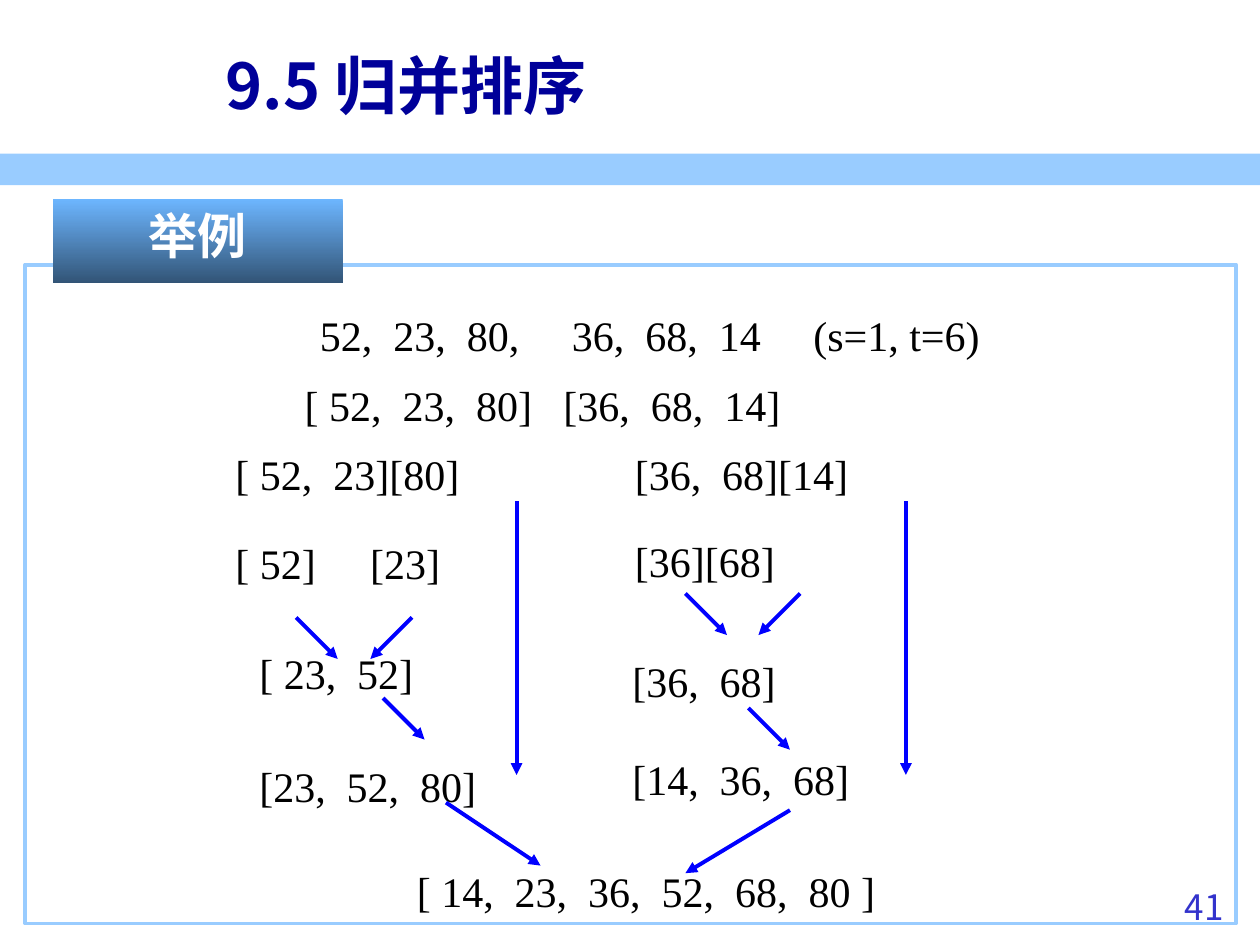
from lxml.etree import SubElement
from pptx import Presentation
from pptx.dml.color import RGBColor
from pptx.enum.shapes import MSO_CONNECTOR, MSO_SHAPE
from pptx.enum.text import MSO_ANCHOR, PP_ALIGN
from pptx.oxml.ns import qn
from pptx.util import Inches, Pt

# Content
TITLE = "9.5 归并排序"
LABEL = "举例"
PAGE_NUMBER = "41"

# Sorting steps: left, top, groups of numbers, spaces between groups, least width
STEPS = [
    (2.44, 2.41, ["52, 23, 80,", "36, 68, 14", "(s=1,t=6)"], 5, 0),
    (2.32, 2.96, ["[52, 23, 80]", "[36, 68, 14]"], 3, 0),
    (1.77, 3.51, ["[52, 23][80]"], 0, 0),
    (4.94, 3.51, ["[36, 68][14]"], 0, 0),
    (1.77, 4.22, ["[52]"], 0, 1.25),
    (2.84, 4.22, ["[23]"], 0, 0),
    (4.94, 4.2, ["[36][68]"], 0, 0),
    (1.96, 5.09, ["[23, 52]"], 0, 0),
    (4.92, 5.15, ["[36, 68]"], 0, 0),
    (1.96, 5.99, ["[23, 52, 80]"], 0, 0),
    (4.92, 5.93, ["[14, 36, 68]"], 0, 0),
    (3.21, 6.82, ["[14, 23, 36, 52, 68, 80]"], 0, 0),
]
# Lists written with a space inside their brackets
OPEN_PADDED = {"[52, 23, 80]", "[52, 23][80]", "[52]", "[23, 52]",
               "[14, 23, 36, 52, 68, 80]"}
CLOSE_PADDED = {"[14, 23, 36, 52, 68, 80]"}

# Arrows: direction -> (dx, dy) and the starting points
ARROWS = [
    ((0.33, 0.33), [(2.35, 4.9), (3.04, 5.54), (5.44, 4.71), (5.94, 5.62)]),
    ((-0.33, 0.33), [(3.27, 4.9), (6.35, 4.71)]),
    ((0, 2.17), [(4.1, 3.98), (7.19, 3.98)]),
    ((0.75, 0.5), [(3.54, 6.37)]),
    ((-0.83, 0.5), [(6.27, 6.43)]),
]

# Character widths in ems; digits are half an em
EMS = {",": 0.25, " ": 0.25, "[": 0.33, "]": 0.33, "(": 0.33, ")": 0.33,
       "s": 0.39, "t": 0.28, "=": 0.56}
STEP_SIZE = 24
NUMBER_GAP = 2
INSET = 0.1


def color(value):
    return RGBColor.from_string(value)


def box_at(left, top, width, height):
    return [Inches(v) for v in (left, top, width, height)]


def style(paragraph, size, font, value, bold=False, align=PP_ALIGN.LEFT):
    paragraph.alignment = align
    paragraph.font.size = Pt(size)
    paragraph.font.bold = bold
    paragraph.font.color.rgb = color(value)
    paragraph.font.name = font
    defaults = paragraph._p.pPr.find(qn("a:defRPr"))
    SubElement(defaults, qn("a:ea")).set("typeface", font)


def add_rectangle(*place):
    rectangle = slide.shapes.add_shape(MSO_SHAPE.RECTANGLE, *box_at(*place))
    rectangle.shadow.inherit = False
    rectangle.line.fill.background()
    return rectangle


def text_width(text):
    return sum(EMS.get(char, 0.5) for char in text) * STEP_SIZE / 72


def add_step(left, top, groups, group_gap, least_width):
    """Set the numbers on tab stops worked out from the character widths."""
    pieces, stops, x = [], [], 0
    for g, group in enumerate(groups):
        numbers = group.split(", ")
        if group in OPEN_PADDED:
            numbers[0] = numbers[0].replace("[", "[ ", 1)
        if group in CLOSE_PADDED:
            numbers[-1] = numbers[-1].replace("]", " ]")
        for n, number in enumerate(numbers):
            number = number.replace(",t", ", t")
            if n < len(numbers) - 1:
                number += ","
            if pieces:
                x += text_width(" " * (NUMBER_GAP if n else group_gap))
                stops.append(x)
            pieces.append(number)
            x += text_width(number)

    width = max(x + 2 * INSET + 0.03, least_width)
    step = slide.shapes.add_textbox(*box_at(left, top, width, 0.5))
    step.text_frame.word_wrap = True
    paragraph = step.text_frame.paragraphs[0]
    paragraph.text = "\t".join(pieces)
    if stops:
        tabs = SubElement(paragraph._p.get_or_add_pPr(), qn("a:tabLst"))
        for stop in stops:
            SubElement(tabs, qn("a:tab"), pos=str(Inches(stop)), algn="l")
    style(paragraph, STEP_SIZE, "Times New Roman", "000000")


def add_arrow(x, y, dx, dy):
    arrow = slide.shapes.add_connector(
        MSO_CONNECTOR.STRAIGHT, *box_at(x, y, x + dx, y + dy))
    arrow.line.color.rgb = color("0000FF")
    arrow.line.width = Pt(2.25)
    SubElement(arrow.line._get_or_add_ln(), qn("a:tailEnd"), type="triangle")
    SubElement(arrow._element.spPr, qn("a:effectLst"))


presentation = Presentation()
presentation.slide_width, presentation.slide_height = Inches(10), Inches(7.5)
slide = presentation.slides.add_slide(presentation.slide_layouts[5])

# Band under the title
band = add_rectangle(0, 1.22, 10, 0.25)
band.fill.solid()
band.fill.fore_color.rgb = color("99CCFF")

# Page number
page = slide.shapes.add_textbox(*box_at(8.86, 6.98, 0.95, 0.52))
page.text_frame.word_wrap = True
page.text_frame.text = PAGE_NUMBER
style(page.text_frame.paragraphs[0], 20, "Noto Sans CJK SC", "3333CC",
      align=PP_ALIGN.RIGHT)

# Frame and its label
frame = add_rectangle(0.2, 2.1, 9.61, 5.23)
frame.fill.background()
frame.line.color.rgb = color("99CCFF")
frame.line.width = Pt(2.25)

label = add_rectangle(0.42, 1.58, 2.3, 0.67)
label.fill.gradient()
label.fill.gradient_angle = 270
for stop, value in zip(label.fill.gradient_stops, ("6DB6FF", "325476")):
    stop.color.rgb = color(value)
label.text_frame.vertical_anchor = MSO_ANCHOR.TOP
label.text_frame.text = LABEL
style(label.text_frame.paragraphs[0], 28, "Noto Sans CJK KR", "FFFFFF",
      bold=True, align=PP_ALIGN.CENTER)

# Title
title = slide.shapes.title
title.left, title.top, title.width, title.height = box_at(1.69, 0.21, 8.19, 0.92)
title.text_frame.vertical_anchor = MSO_ANCHOR.MIDDLE
title.text_frame.text = TITLE
style(title.text_frame.paragraphs[0], 36, "Noto Sans CJK SC", "000099", bold=True)

# Sorting steps and arrows
for step_content in STEPS:
    add_step(*step_content)
for direction, starts in ARROWS:
    for start in starts:
        add_arrow(*start, *direction)

presentation.save("out.pptx")
